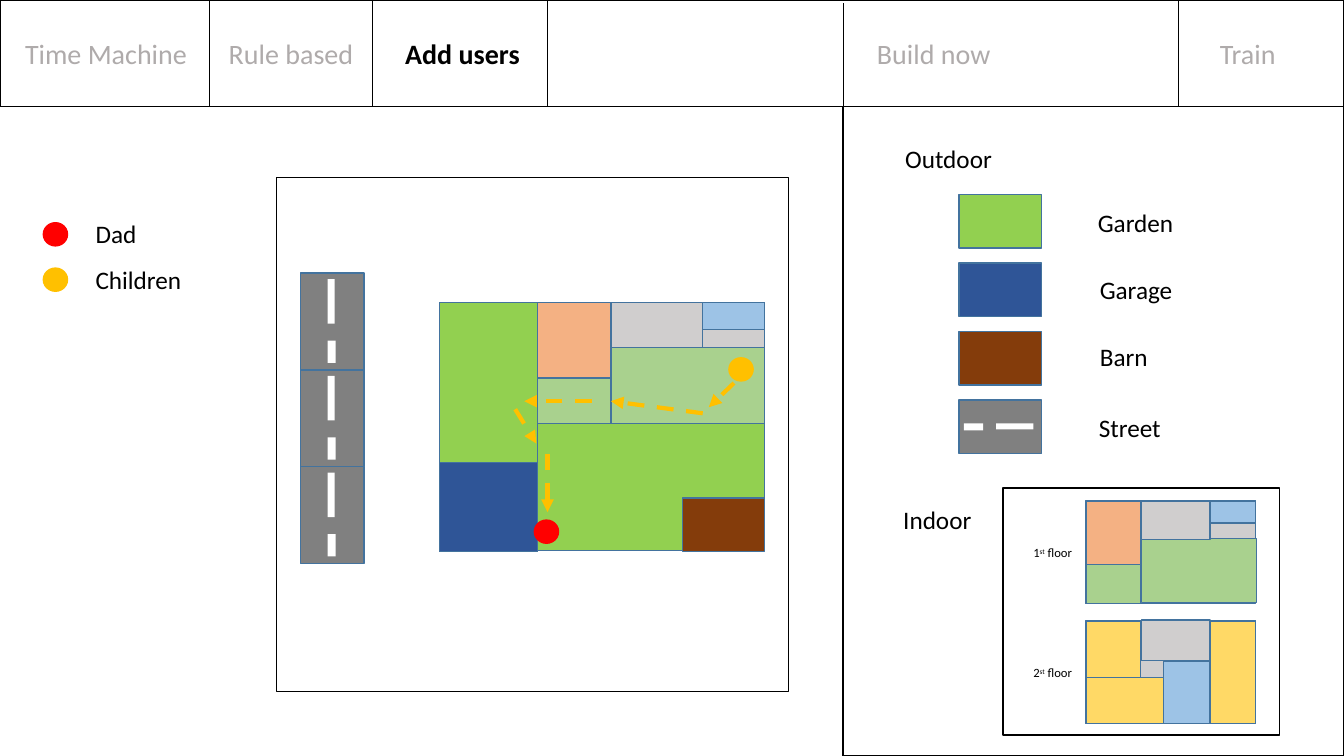
from lxml.etree import SubElement
from pptx import Presentation
from pptx.dml.color import RGBColor
from pptx.enum.dml import MSO_LINE
from pptx.enum.shapes import MSO_CONNECTOR, MSO_SHAPE
from pptx.enum.text import MSO_AUTO_SIZE
from pptx.oxml.ns import qn
from pptx.util import Pt

PX = 9144  # 100 px to the inch

COLORS = {
    "black": "000000", "white": "FFFFFF", "muted": "AFABAB", "outline": "43739E",
    "dad": "FF0000", "children": "FFC000",
    "garden": "92D050", "garage": "2F5597", "barn": "843C0B", "street": "808080",
    "kitchen": "F4B183", "living": "A9D18E", "bath": "9DC3E6", "hall": "D0CECE",
    "bedroom": "FFD966", "floor": "DBDBDB",
}

TAB = {"size": Pt(20), "bold": False}
ACTIVE_TAB = {"size": Pt(20), "bold": True}
LABEL = {"size": Pt(18), "bold": False}
CAPTION = {"size": Pt(9), "bold": False}

# Each row: colour, left, top, width, height
HOUSE = [
    ("floor", 533, 300, 225, 121),
    ("kitchen", 533, 300, 73, 75),
    ("living", 533, 375, 73, 47),
    ("living", 606, 345, 152, 77),
    ("bath", 697, 300, 61, 27),
    ("hall", 606, 300, 91, 45),
    ("hall", 697, 327, 61, 18),
]
GROUNDS = [
    ("garden", 533, 420, 225, 126),
    ("garden", 436, 300, 97, 247),
    ("barn", 677, 494, 81, 53),
    ("garage", 436, 459, 97, 88),
]
FIRST_FLOOR = [
    ("floor", 1077, 497, 168, 102),
    ("kitchen", 1077, 497, 54, 63),
    ("living", 1077, 560, 54, 39),
    ("living", 1132, 534, 114, 64),
    ("bath", 1200, 497, 45, 23),
    ("hall", 1132, 497, 68, 38),
    ("hall", 1200, 519, 45, 15),
]
SECOND_FLOOR = [
    ("floor", 1077, 616, 168, 102),
    ("hall", 1132, 615, 68, 41),
    ("hall", 1131, 655, 23, 17),
    ("bath", 1154, 656, 46, 62),
    ("bedroom", 1077, 616, 54, 57),
    ("bedroom", 1200, 616, 45, 102),
    ("bedroom", 1077, 672, 77, 46),
]
# Each row: text, left, top, width
TABS = [
    ("Time Machine", 15, 31, 183),
    ("Rule based", 217, 31, 145),
    ("Build now", 860, 31, 137),
    ("Train", 1200, 31, 76),
]
LABELS = [
    ("Outdoor", 888, 137, 107),
    ("Garden", 1079, 201, 96),
    ("Garage", 1081, 267, 93),
    ("Barn", 1081, 334, 68),
    ("Street", 1080, 404, 82),
    ("Indoor", 886, 495, 89),
    ("Dad", 85, 212, 61),
    ("Children", 85, 257, 106),
]
# Each row: start x, start y, end x, end y
ROUTE = [
    (728, 380, 703, 404),
    (697, 410, 606, 398),
    (587, 398, 520, 398),
    (511, 406, 532, 440),
    (543, 450, 543, 508),
]


def rgb(color):
    return RGBColor.from_string(COLORS[color])


def px(*lengths):
    return [length * PX for length in lengths]


def add_block(s, fill, x, y, w, h, line="outline", kind=MSO_SHAPE.RECTANGLE):
    """Add a shape; None as fill or line leaves that part out."""
    sp = s.shapes.add_shape(kind, *px(x, y, w, h))
    sp.shadow.inherit = False
    if fill:
        sp.fill.solid()
        sp.fill.fore_color.rgb = rgb(fill)
    else:
        sp.fill.background()
    if line:
        sp.line.color.rgb = rgb(line)
        sp.line.width = Pt(1)
    else:
        sp.line.fill.background()


def add_frame(s, x, y, w, h):
    add_block(s, None, x, y, w, h, "black")


def add_blocks(s, blocks):
    for block in blocks:
        add_block(s, *block)


def add_person(s, person, x, y):
    add_block(s, person, x, y, 24, 23, person, MSO_SHAPE.OVAL)


def add_text(s, runs, x, y, w, h, style, color="black"):
    """Add one line of text; runs are pairs of text and superscript flag."""
    tb = s.shapes.add_textbox(*px(x, y, w, h))
    tf = tb.text_frame
    tf.word_wrap = False
    tf.auto_size = MSO_AUTO_SIZE.SHAPE_TO_FIT_TEXT
    p = tf.paragraphs[0]
    for text, raised in runs:
        r = p.add_run()
        r.text = text
        r.font.name = "Calibri"
        r.font.color.rgb = rgb(color)
        for name, value in style.items():
            setattr(r.font, name, value)
        if raised:
            r._r.get_or_add_rPr().set("baseline", "30000")


def add_line(s, x1, y1, x2, y2, color="black", width=0.5):
    cn = s.shapes.add_connector(MSO_CONNECTOR.STRAIGHT, *px(x1, y1, x2, y2))
    cn.line.color.rgb = rgb(color)
    cn.line.width = Pt(width)
    SubElement(cn._element.spPr, qn("a:effectLst"))
    return cn


def add_step(s, x1, y1, x2, y2):
    """Add one dashed arrow of the children's route."""
    cn = add_line(s, x1, y1, x2, y2, "children", 3)
    cn.line.dash_style = MSO_LINE.DASH
    SubElement(cn.line._get_or_add_ln(), qn("a:tailEnd"), type="triangle")


def add_street(s, x, y):
    for i in range(3):
        top = y + 96 * i
        add_block(s, "street", x, top, 63, 96)
        add_block(s, "white", x + 27, top + 6, 7, 44, None)
        add_block(s, "white", x + 27, top + 67, 8, 22, None)


def add_header(s):
    add_frame(s, 0, 0, 1333, 106)
    for x in (208, 369, 543, 1169):
        add_line(s, x, 0, x, 106)
    add_line(s, 836, 3, 836, 109)
    for text, x, y, w in TABS:
        add_text(s, [(text, False)], x, y, w, 44, TAB, "muted")
    add_text(s, [("Add users", False)], 392, 31, 135, 44, ACTIVE_TAB)


def add_outdoor_key(s):
    for i, color in enumerate(("garden", "garage", "barn", "street")):
        add_block(s, color, 951, 193 + 68 * i, 82, 53)
    add_block(s, "white", 988, 420, 37, 6, None)
    add_block(s, "white", 956, 420, 19, 7, None)


def add_indoor_key(s):
    add_frame(s, 995, 484, 274, 245)
    for number, y, rooms in (("1", 536, FIRST_FLOOR), ("2", 655, SECOND_FLOOR)):
        runs = [(number, False), ("st", True), (" floor", False)]
        add_text(s, runs, 1015, y, 60, 25, CAPTION)
        add_blocks(s, rooms)


def main():
    prs = Presentation()
    prs.slide_width, prs.slide_height = px(1333, 750)
    s = prs.slides.add_slide(prs.slide_layouts[6])
    add_blocks(s, HOUSE)
    add_frame(s, 836, 106, 497, 644)
    add_outdoor_key(s)
    add_frame(s, 274, 176, 508, 510)
    add_street(s, 298, 271)
    add_blocks(s, GROUNDS)
    add_header(s)
    add_indoor_key(s)
    for text, x, y, w in LABELS:
        add_text(s, [(text, False)], x, y, w, 40, LABEL)
    for person, x, y in (("dad", 43, 221), ("children", 43, 266),
                         ("dad", 530, 516), ("children", 723, 355)):
        add_person(s, person, x, y)
    for step in ROUTE:
        add_step(s, *step)
    prs.save("out.pptx")


if __name__ == "__main__":
    main()
